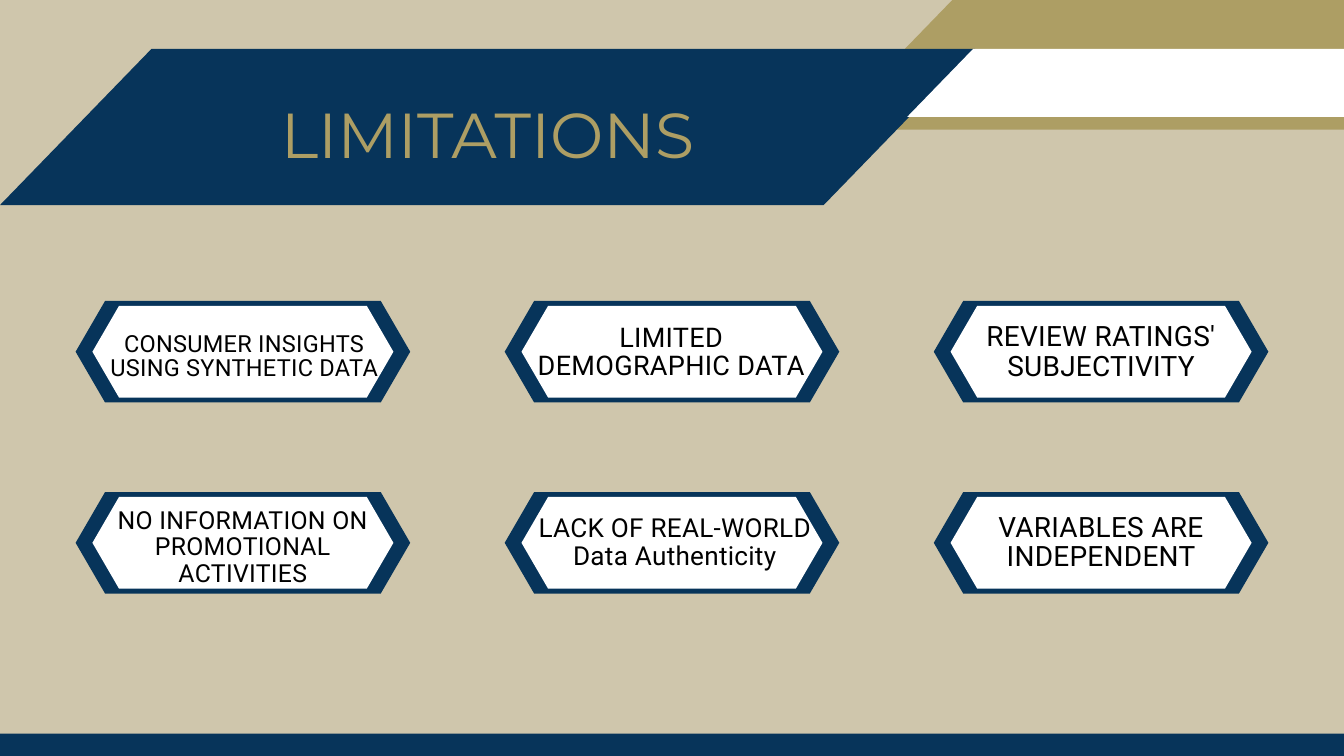
from pptx import Presentation
from pptx.dml.color import RGBColor
from pptx.enum.shapes import MSO_SHAPE
from pptx.enum.text import MSO_ANCHOR, MSO_AUTO_SIZE, PP_ALIGN
from pptx.util import Emu, Pt

PX = 9525  # EMU per px, 96 px to the inch
COLORS = {"sand": "CFC6AC", "gold": "AD9E64", "navy": "07345A",
          "white": "FFFFFF", "black": "000000"}


def px(*lengths):
    return [Emu(n * PX) for n in lengths]


def rgb(name):
    return RGBColor.from_string(COLORS[name])


class Deck:
    """Holds the style and the current slide."""

    def __init__(self, width, height):
        self.prs = Presentation()
        self.prs.slide_width, self.prs.slide_height = px(width, height)

    def new_slide(self, background):
        self.s = self.prs.slides.add_slide(self.prs.slide_layouts[5])
        fill = self.s.background.fill
        fill.solid()
        fill.fore_color.rgb = rgb(background)

    def shape(self, kind, box, color, slant=None):
        sp = self.s.shapes.add_shape(kind, *px(*box))
        sp.shadow.inherit = False
        sp.fill.solid()
        sp.fill.fore_color.rgb = rgb(color)
        sp.line.fill.background()
        if slant is not None:
            sp.adjustments[0] = slant

    def set_text(self, sp, lines, size, leading, font, color, spacing=0):
        tf = sp.text_frame
        frame = {"word_wrap": True, "auto_size": MSO_AUTO_SIZE.NONE,
                 "vertical_anchor": MSO_ANCHOR.TOP, "margin_left": 0,
                 "margin_top": 0, "margin_right": 0, "margin_bottom": 0}
        for name, value in frame.items():
            setattr(tf, name, value)
        for i, line in enumerate(lines):
            p = tf.add_paragraph() if i else tf.paragraphs[0]
            p.alignment = PP_ALIGN.CENTER
            p.line_spacing = Pt(leading)
            r = p.add_run()
            r.text = line
            for name, value in {"size": Pt(size), "name": font}.items():
                setattr(r.font, name, value)
            r.font.color.rgb = rgb(color)
            if spacing:
                r._r.get_or_add_rPr().set("spc", str(spacing))

    def title(self, text, box):
        sp = self.s.shapes.title
        sp.left, sp.top, sp.width, sp.height = px(*box)
        self.set_text(sp, [text], 68, 95.2, "Montserrat", "gold")
        self.s.shapes._spTree.append(sp._element)  # bring to front

    def label(self, lines, box, size, leading):
        sp = self.s.shapes.add_textbox(*px(*box))
        self.set_text(sp, lines, size, leading, "Roboto", "black", 30)

    def badge(self, x, y, w, h, rim_x=24, rim_y=7):
        """Draw a white hexagon inside a navy one."""
        inner = (x + rim_x, y + rim_y, w - 2 * rim_x, h - 2 * rim_y)
        for box, color in (((x, y, w, h), "navy"), (inner, "white")):
            self.shape(MSO_SHAPE.HEXAGON, box, color, 0.29)


# lines, offset and size of the text within its badge, font size, leading
LIMITATIONS = [
    (["CONSUMER INSIGHTS USING SYNTHETIC DATA"], (47, 44, 388, 72), 25.2, 26.7),
    (["LIMITED DEMOGRAPHIC DATA"], (22, 33, 432, 83), 29, 30.7),
    (["REVIEW RATINGS' SUBJECTIVITY"], (22, 31, 434, 86), 30, 31.8),
    (["NO INFORMATION ON PROMOTIONAL ACTIVITIES"], (47, 23, 384, 114), 26.6, 28.2),
    (["LACK OF REAL-WORLD", "Data Authenticity"], (26, 33, 434, 120), 28, 29.7),
    (["VARIABLES ARE INDEPENDENT"], (22, 30, 434, 86), 30, 31.8),
]
COLUMNS, LEFT, TOP, STEP_X, STEP_Y = 3, 108, 430, 613, 273
BADGE_W, BADGE_H = 478, 145


def main():
    deck = Deck(1920, 1080)
    deck.new_slide("sand")
    for box, color in (((1181, -22, 945, 207), "gold"),
                       ((0, 70, 1393, 223), "navy"),
                       ((1296, 70, 771, 97), "white")):
        deck.shape(MSO_SHAPE.PARALLELOGRAM, box, color, 0.97)
    deck.shape(MSO_SHAPE.RECTANGLE, (-21, 1048, 1962, 69), "navy")
    for i, (lines, (dx, dy, w, h), size, leading) in enumerate(LIMITATIONS):
        row, col = divmod(i, COLUMNS)
        x, y = LEFT + col * STEP_X, TOP + row * STEP_Y
        deck.badge(x, y, BADGE_W, BADGE_H)
        deck.label(lines, (x + dx, y + dy, w, h), size, leading)
    deck.title("LIMITATIONS", (176, 118, 1041, 122))
    deck.prs.save("out.pptx")


if __name__ == "__main__":
    main()
